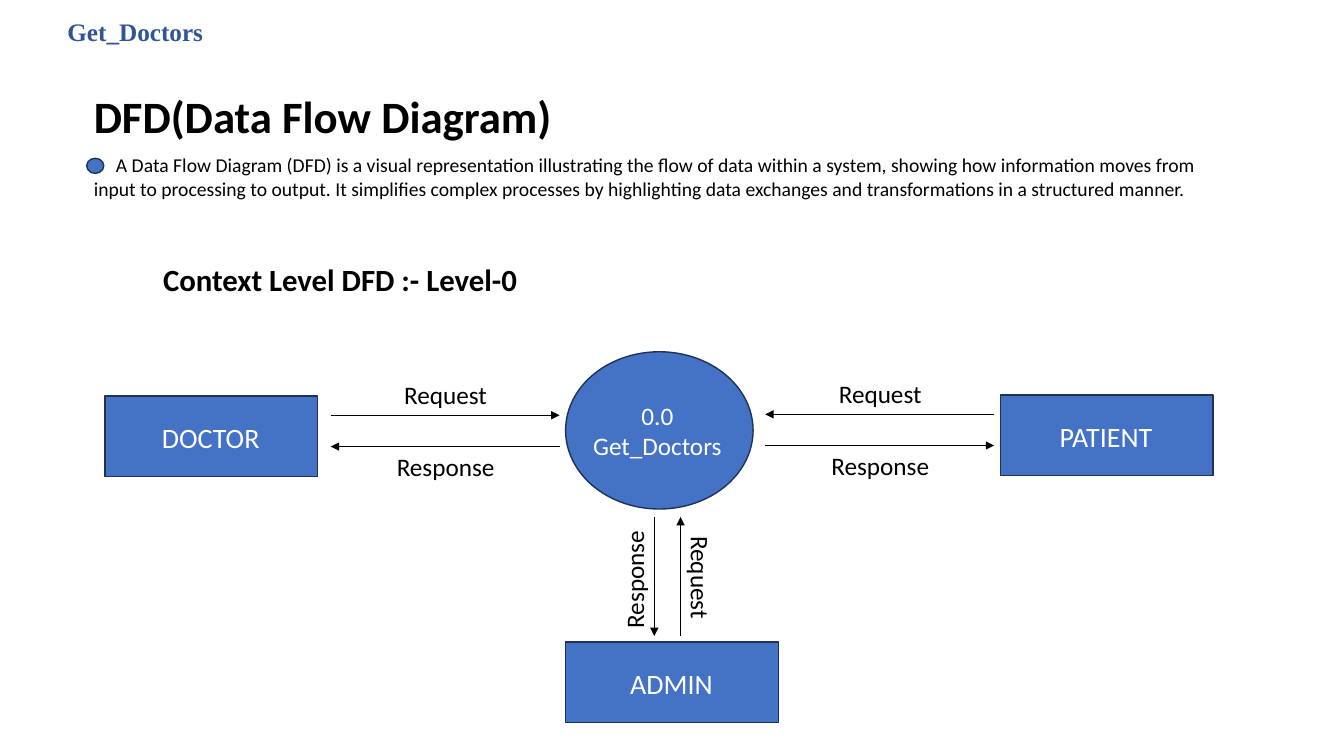
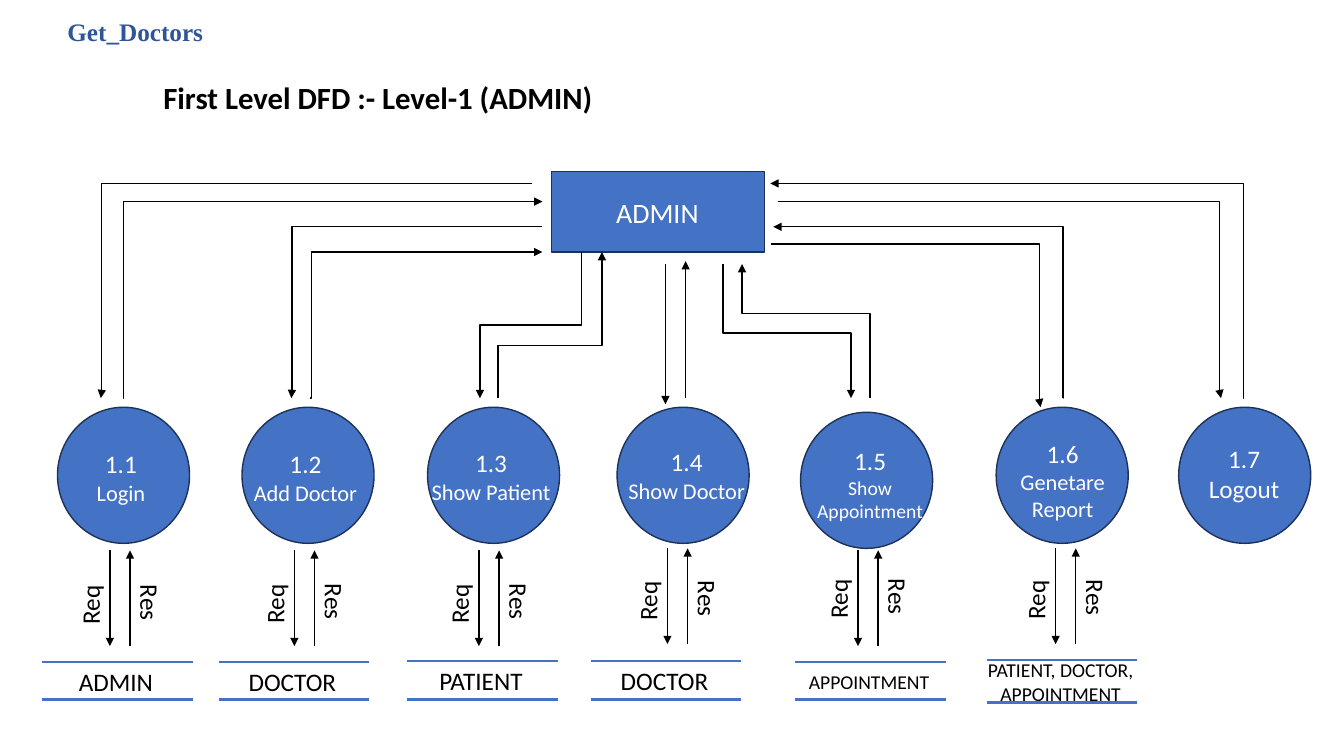
import math

import lxml.etree
import pptx
import pptx.dml.color
import pptx.enum.shapes
import pptx.enum.text
import pptx.oxml.ns
import pptx.util

Inches = pptx.util.Inches
Pt = pptx.util.Pt
RGBColor = pptx.dml.color.RGBColor
SHAPE = pptx.enum.shapes.MSO_SHAPE
LINK = pptx.enum.shapes.MSO_CONNECTOR
ANCHOR = pptx.enum.text.MSO_ANCHOR
ALIGN = pptx.enum.text.PP_ALIGN
FIT = pptx.enum.text.MSO_AUTO_SIZE
qn = pptx.oxml.ns.qn

BLUE = RGBColor(0x44, 0x72, 0xC4)
NAVY = RGBColor(0x1E, 0x32, 0x56)
BRAND = RGBColor(0x2F, 0x55, 0x97)
BLACK = RGBColor(0, 0, 0)
WHITE = RGBColor(255, 255, 255)

INTRO = (
    "A Data Flow Diagram (DFD) is a visual representation illustrating the flow of data "
    "within a system, showing how information moves from input to processing to output. "
    "It simplifies complex processes by highlighting data exchanges and transformations "
    "in a structured manner."
)

# fmt: off
STEPS = [
    (0.57, 4.04, 1.20, 4.40, 16, "1.1\nLogin"),
    (2.40, 4.04, 3.03, 4.40, 16, "1.2\nAdd Doctor"),
    (4.24, 4.04, 4.87, 4.39, 16, "1.3\nShow Patient"),
    (6.12, 4.04, 6.81, 4.38, 16, "1.4\nShow Doctor"),
    (7.94, 4.09, 8.63, 4.37, 14, "1.5\nShow\nAppointment"),
    (9.88, 4.04, 10.54, 4.30, 16, "1.6\nGenetare\nReport"),
    (11.69, 4.04, 12.34, 4.35, 18, "1.7\nLogout"),
]
FLOWS = [
    (1.09, 5.46, 6.00), (2.92, 5.46, 5.99), (4.75, 5.46, 5.99),
    (6.62, 5.44, 5.96), (8.51, 5.46, 5.94), (10.47, 5.44, 5.95),
]
STORES = [
    (0.42, 6.57, 0.37, 18, "ADMIN"),
    (2.17, 6.57, 0.37, 18, "DOCTOR"),
    (4.04, 6.56, 0.38, 18, "PATIENT"),
    (5.86, 6.56, 0.38, 18, "DOCTOR"),
    (7.89, 6.57, 0.37, 14, "APPOINTMENT"),
    (9.79, 6.55, 0.42, 14, "PATIENT, DOCTOR, APPOINTMENT"),
]
BENDS = [
    ((5.28, 1.82), (1.00, 3.95), 0.998, False),
    ((1.22, 3.95), (5.38, 2.00), 0.001, False),
    ((5.38, 2.25), (2.89, 3.95), 0.998, False),
    ((3.08, 3.95), (5.38, 2.50), 0.004, False),
    ((5.77, 2.50), (4.76, 3.95), 0.5, True),
    ((4.94, 3.95), (5.97, 2.50), 0.36, True),
    ((7.17, 2.62), (8.44, 3.95), 0.514, True),
    ((8.63, 3.95), (7.36, 2.62), 0.632, True),
    ((7.65, 2.42), (10.32, 4.04), 0.996, False),
    ((10.54, 3.95), (7.67, 2.25), -0.001, False),
    ((7.72, 2.00), (12.11, 3.95), 0.997, False),
    ((12.33, 3.95), (7.64, 1.82), -0.001, False),
]
# fmt: on


def style(frame, size, color=BLACK, bold=False, face="Calibri", align=ALIGN.LEFT):
    """Format every paragraph of a text frame."""
    for para in frame.paragraphs:
        para.alignment = align
        para.space_before = Pt(0)
        for run in para.runs:
            font = run.font
            font.size, font.bold, font.name = Pt(size), bold, face
            font.color.rgb = color


def place(shape, x, y, w, h):
    """Move and size a placeholder."""
    shape.left, shape.top = Inches(x), Inches(y)
    shape.width, shape.height = Inches(w), Inches(h)
    shape.text_frame.auto_size = FIT.NONE
    shape.text_frame.vertical_anchor = ANCHOR.TOP


def text(slide, x, y, w, h, words, size, color=BLACK, align=ALIGN.CENTER, **look):
    """Add a wrapped text box."""
    box = slide.shapes.add_textbox(Inches(x), Inches(y), Inches(w), Inches(h))
    frame = box.text_frame
    frame.word_wrap = True
    frame.text = words
    style(frame, size, color, align=align, **look)
    return box


def solid(slide, kind, x, y, w, h):
    """Add a blue shape with a navy outline."""
    shape = slide.shapes.add_shape(kind, Inches(x), Inches(y), Inches(w), Inches(h))
    shape.shadow.inherit = False
    shape.fill.solid()
    shape.fill.fore_color.rgb = BLUE
    shape.line.color.rgb = NAVY
    shape.line.width = Pt(1)


def line(slide, start, end, color=BLACK, width=1, head=True, kind=LINK.STRAIGHT):
    """Add a connector, with an arrowhead at its end if asked."""
    ends = [Inches(v) for v in (*start, *end)]
    link = slide.shapes.add_connector(kind, *ends)
    link.line.color.rgb = color
    link.line.width = Pt(width)
    if head:
        stroke = link.line._get_or_add_ln()
        lxml.etree.SubElement(stroke, qn("a:tailEnd"), type="triangle")
    lxml.etree.SubElement(link._element.spPr, qn("a:effectLst"))
    return link


def elbow(slide, start, end, bend, tall):
    """Add a bent arrow; a tall one leaves its start vertically."""
    dx, dy = end[0] - start[0], end[1] - start[1]
    if tall:
        turn = 90 if dx * dy < 0 else 270
    else:
        turn = 180 if dx < 0 else 0
    cos, sin = (round(f(math.radians(turn))) for f in (math.cos, math.sin))
    half = ((dx * cos + dy * sin) / 2, (dy * cos - dx * sin) / 2)
    mid = ((start[0] + end[0]) / 2, (start[1] + end[1]) / 2)
    head = [m - d for m, d in zip(mid, half)]
    tail = [m + d for m, d in zip(mid, half)]
    link = line(slide, head, tail, kind=LINK.ELBOW)
    props = link._element.spPr
    props.find(qn("a:xfrm")).set("rot", str(turn * 60000))
    guides = props.find(qn("a:prstGeom")).get_or_add_avLst()
    ratio = f"val {round(bend * 100000)}"
    lxml.etree.SubElement(guides, qn("a:gd"), name="adj1", fmla=ratio)


def header(slide, title, x, y, w, h, size):
    """Set the running name and the slide title."""
    text(slide, 0.57, 0.11, 2.32, 0.4, "Get_Doctors", 18, BRAND, ALIGN.LEFT,
         bold=True, face="Times New Roman")
    place(slide.shapes.title, x, y, w, h)
    slide.shapes.title.text_frame.text = title
    style(slide.shapes.title.text_frame, size, bold=True)


def intro(slide, x, y, w, h):
    """Fill the body with the definition and its round marker."""
    body = slide.placeholders[1]
    place(body, x, y, w, h)
    frame = body.text_frame
    frame.text = INTRO
    props = frame.paragraphs[0]._p.get_or_add_pPr()
    props.set("marL", "0")
    props.set("indent", str(Inches(0.22)))
    lxml.etree.SubElement(props, qn("a:buNone"))
    style(frame, 14)
    solid(slide, SHAPE.OVAL, x + 0.03, y + 0.1, 0.17, 0.15)


def entity(slide, x, y, name):
    """Draw an outside party as a named box."""
    solid(slide, SHAPE.RECTANGLE, x, y, 2.11, 0.8)
    text(slide, x + 0.13, y + 0.19, 1.84, 0.44, name, 20, WHITE)


def trade(slide, x, y, inward):
    """Draw level request and response arrows."""
    left, right = x, x + 2.27
    start, end = (left, right) if inward else (right, left)
    low = y + 0.31
    line(slide, (start, y), (end, y))
    line(slide, (end, low), (start, low))
    text(slide, x + 0.33, y - 0.41, 1.62, 0.4, "Request", 18)
    text(slide, x + 0.33, low, 1.62, 0.4, "Response", 18)


def duplex(slide, x, y, size, gap, mid, down, up):
    """Draw a downward and an upward arrow with turned labels."""
    line(slide, (x, y), (x, y + size))
    line(slide, (x + gap, y + size), (x + gap, y))
    sides = ((x - 0.2, mid, down, 270), (x + gap + 0.2, mid - 0.02, up, 90))
    for cx, cy, word, turn in sides:
        text(slide, cx - 0.81, cy - 0.2, 1.62, 0.4, word, 18).rotation = turn


def step(slide, x, y, cx, top, size, words):
    """Draw a numbered process circle."""
    solid(slide, SHAPE.OVAL, x, y, 1.31, 1.35)
    box = text(slide, cx - 0.92, top, 1.84, 0.7, words, size, WHITE)
    box.text_frame.paragraphs[0].runs[0].font.size = Pt(18)


def store(slide, x, y, h, size, name):
    """Draw a data store between two rules."""
    for level in (y, y + h):
        line(slide, (x, level), (x + 1.49, level), BLUE, 1.5, head=False)
    box = text(slide, x - 0.31, y + h / 2 - 0.28, 2.08, 0.57, name, size)
    box.text_frame.vertical_anchor = ANCHOR.MIDDLE


def context(deck):
    """Build the context level slide."""
    slide = deck.slides.add_slide(deck.slide_layouts[1])
    header(slide, "DFD(Data Flow Diagram)", 0.83, 0.83, 5.83, 0.64, 32)
    intro(slide, 0.83, 1.47, 11.46, 0.57)
    text(slide, 1.52, 2.54, 3.87, 0.47, "Context Level DFD :- Level-0", 22,
         align=ALIGN.LEFT, bold=True)
    solid(slide, SHAPE.OVAL, 5.61, 3.49, 1.86, 1.56)
    text(slide, 5.6, 3.92, 1.84, 0.71, "0.0\nGet_Doctors", 18, WHITE)
    entity(slide, 1.04, 3.93, "DOCTOR")
    entity(slide, 9.92, 3.92, "PATIENT")
    entity(slide, 5.61, 6.37, "ADMIN")
    trade(slide, 3.28, 4.12, True)
    trade(slide, 7.59, 4.11, False)
    duplex(slide, 6.49, 5.13, 1.18, 0.26, 5.75, "Response", "Request")


def admin(deck):
    """Build the first level slide for the admin."""
    slide = deck.slides.add_slide(deck.slide_layouts[5])
    header(slide, "First Level DFD :- Level-1 (ADMIN)", 1.52, 0.73, 5, 0.47, 22)
    entity(slide, 5.47, 1.7, "ADMIN")
    for bend in BENDS:
        elbow(slide, *bend)
    line(slide, (6.6, 2.62), (6.6, 4.01))
    line(slide, (6.8, 3.95), (6.8, 2.59))
    for item in STEPS:
        step(slide, *item)
    for x, y, mid in FLOWS:
        duplex(slide, x, y, 0.95, 0.2, mid, "Req", "Res")
    for item in STORES:
        store(slide, *item)


def main():
    """Build and save the deck."""
    deck = pptx.Presentation()
    deck.slide_width, deck.slide_height = Inches(13.33), Inches(7.5)
    context(deck)
    admin(deck)
    deck.save("out.pptx")


if __name__ == "__main__":
    main()
